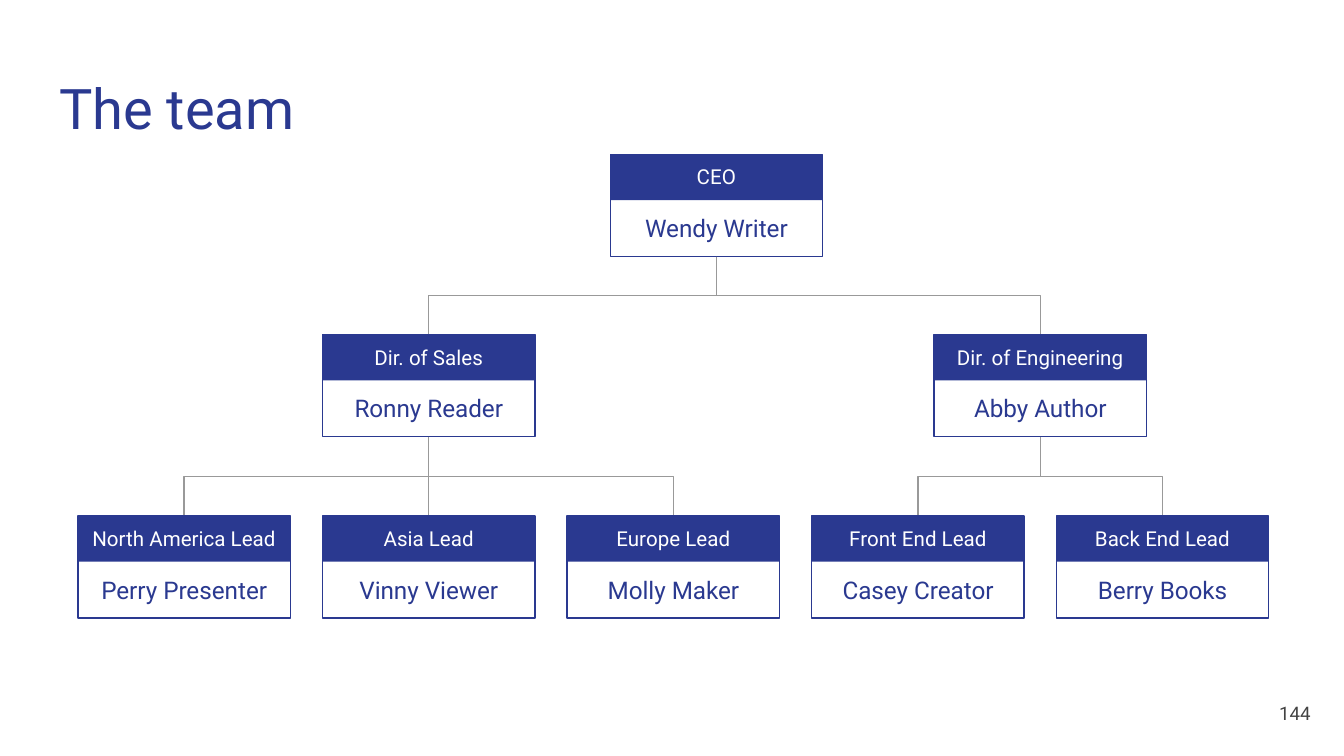
"""Build an org chart slide of the team."""
from pptx import Presentation
from pptx.dml.color import RGBColor
from pptx.enum import shapes as kinds, text as t
from pptx.oxml.ns import qn
from pptx.util import Inches, Pt

BLUE = RGBColor(0x2A, 0x39, 0x90)
WHITE = RGBColor(0xFF, 0xFF, 0xFF)
GRAY = RGBColor(0x99, 0x99, 0x99)
DARK = RGBColor(0x43, 0x43, 0x43)
WIDE, TALL, BAND = 1.58, 0.76, 0.34
LEFT, STEP = 0.58, 1.82
ROWS = [1.15, 2.49, 3.84]


def write(shape, words, size, color, align=t.PP_ALIGN.CENTER,
          anchor=t.MSO_ANCHOR.MIDDLE, pad=0.1):
    frame = shape.text_frame
    frame.text = words
    frame.word_wrap = True
    frame.auto_size = t.MSO_AUTO_SIZE.NONE
    frame.vertical_anchor = anchor
    frame.margin_left = frame.margin_right = Inches(0.1)
    frame.margin_top = frame.margin_bottom = Inches(pad)
    line = frame.paragraphs[0]
    line.alignment = align
    font = line.runs[0].font
    font.name, font.size, font.color.rgb = "Roboto", Pt(size), color


def link(x1, y1, x2, y2):
    kind = kinds.MSO_CONNECTOR.STRAIGHT
    ends = x1, y1, x2, y2
    if x1 != x2:
        kind = kinds.MSO_CONNECTOR.ELBOW
        midx, midy = (x1 + x2) / 2, (y1 + y2) / 2
        half = (y2 - y1) / 2 * (1 if x2 > x1 else -1)
        rise = abs(x2 - x1) / 2
        ends = midx + half, midy - rise, midx - half, midy + rise
    wire = slide.shapes.add_connector(kind, *[Inches(n) for n in ends])
    wire.line.color.rgb, wire.line.width = GRAY, Pt(0.75)
    props = wire._element.spPr
    props.append(props.makeelement(qn("a:effectLst"), {}))
    if x1 != x2:
        turn = 270 if x2 > x1 else 90
        props.find(qn("a:xfrm")).set("rot", str(turn * 60000))


deck = Presentation()
deck.slide_width, deck.slide_height = Inches(10), Inches(10 * 9 / 16)
slide = deck.slides.add_slide(deck.slide_layouts[5])

title = slide.shapes.title
title.left, title.top = Inches(0.34), Inches(0.45)
title.width, title.height = Inches(9.32), Inches(0.66)
write(title, "The team", 30, BLUE, align=t.PP_ALIGN.LEFT, anchor=t.MSO_ANCHOR.TOP)

sales, tech = LEFT + STEP, LEFT + 3.5 * STEP
team = [
    ("CEO", "Wendy Writer", 4.54, 0, None),
    ("Dir. of Sales", "Ronny Reader", sales, 1, 4.54),
    ("Dir. of Engineering", "Abby Author", tech, 1, 4.54),
    ("North America Lead", "Perry Presenter", LEFT, 2, sales),
    ("Asia Lead", "Vinny Viewer", LEFT + STEP, 2, sales),
    ("Europe Lead", "Molly Maker", LEFT + 2 * STEP, 2, sales),
    ("Front End Lead", "Casey Creator", LEFT + 3 * STEP, 2, tech),
    ("Back End Lead", "Berry Books", LEFT + 4 * STEP, 2, tech),
]

for role, name, x, row, boss in team:
    y = ROWS[row]
    if boss is not None:
        link(boss + WIDE / 2, ROWS[row - 1] + TALL, x + WIDE / 2, y)
    card, band = [
        slide.shapes.add_shape(kinds.MSO_SHAPE.RECTANGLE, Inches(x), Inches(y),
                               Inches(WIDE), Inches(high))
        for high in (TALL, BAND)]
    card.shadow.inherit = band.shadow.inherit = False
    card.fill.background()
    card.line.color.rgb, card.line.width = BLUE, Pt(0.75)
    band.fill.solid()
    band.fill.fore_color.rgb = BLUE
    band.line.fill.background()
    for words, drop, size, color in ((role, 0.06, 11, WHITE), (name, 0.44, 13, BLUE)):
        label = slide.shapes.add_textbox(Inches(x), Inches(y + drop),
                                         Inches(WIDE), Inches(0.21))
        write(label, words, size, color, pad=0)

page = slide.shapes.add_textbox(Inches(9.25), Inches(5.09), Inches(0.6), Inches(0.43))
write(page, "144", 10, DARK, align=t.PP_ALIGN.RIGHT)

deck.save("out.pptx")
